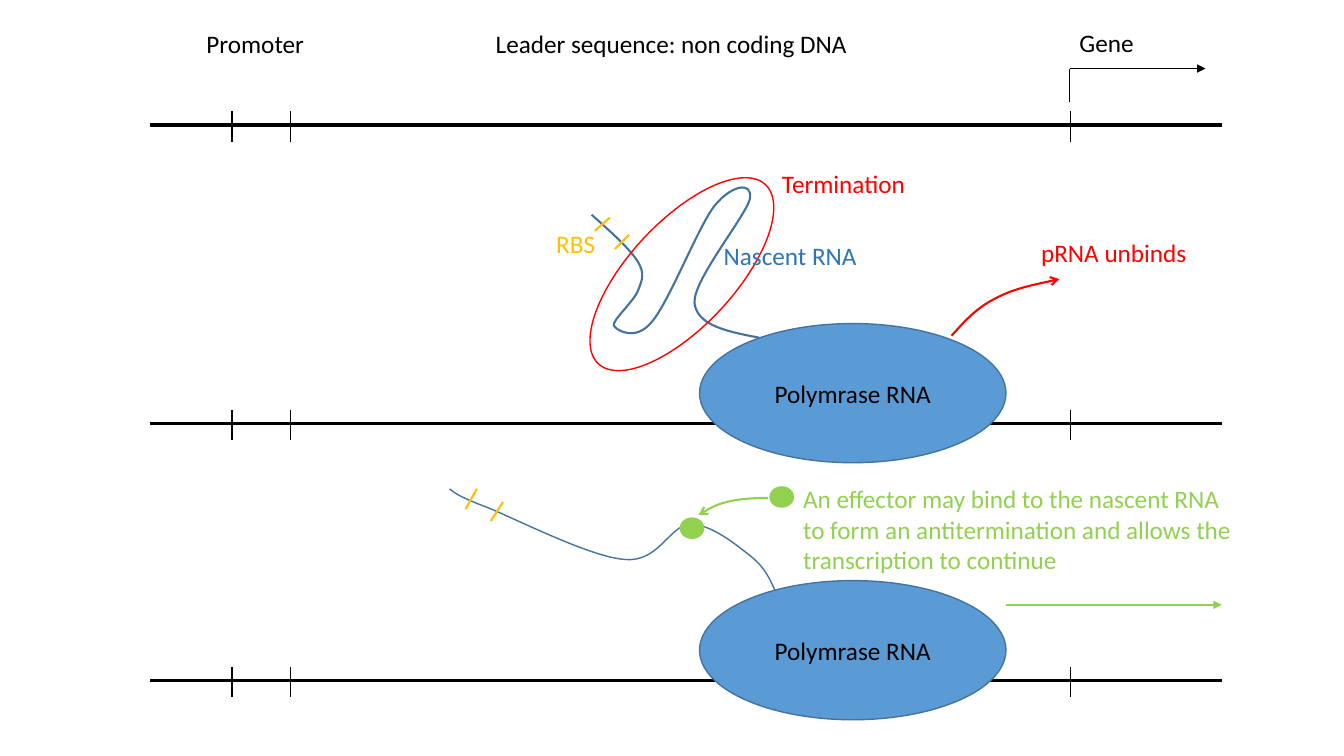
from collections import namedtuple
from dataclasses import dataclass

from lxml.etree import SubElement
from pptx import Presentation
from pptx.dml.color import RGBColor as RGB
from pptx.enum.shapes import MSO_CONNECTOR as CONN, MSO_SHAPE as SHAPE
from pptx.enum.text import MSO_ANCHOR as ANCHOR, MSO_AUTO_SIZE as AUTO, PP_ALIGN as ALIGN
from pptx.oxml.ns import qn
from pptx.util import Pt


@dataclass(frozen=True)
class Theme:
    font: str = "Calibri"
    size: int = 18
    black: str = "000000"
    blue: str = "5B9BD5"
    outline: str = "43739E"
    rna_label: str = "2E75B6"
    red: str = "FF0000"
    green: str = "92D050"
    gold: str = "FFC000"


T = Theme()
Box = namedtuple("Box", "x y w h")  # the DNA strand runs along the bottom edge

prs = Presentation()
prs.slide_width, prs.slide_height = Pt(960), Pt(540)
s = prs.slides.add_slide(prs.slide_layouts[6])


def write(tf, text, color=T.black, align=ALIGN.LEFT, wrap=True):
    tf.word_wrap = wrap
    p = tf.paragraphs[0]
    p.alignment = align
    r = p.add_run()
    r.text = text
    r.font.name, r.font.size = T.font, Pt(T.size)
    r.font.color.rgb = RGB.from_string(color)


def label(box, x, y, w, text, h=29, **fmt):
    tf = s.shapes.add_textbox(Pt(box.x + x), Pt(box.y + y), Pt(w), Pt(h)).text_frame
    write(tf, text, **fmt)
    tf.auto_size = AUTO.SHAPE_TO_FIT_TEXT


def stroke(sp, color, width, head=None):
    sp.line.color.rgb = RGB.from_string(color)
    sp.line.width = Pt(width)
    if head:
        ln = sp._element.spPr.find(qn("a:ln"))
        SubElement(ln, qn("a:tailEnd"), type=head)


def line(box, x1, y1, x2, y2, color=T.black, width=1, head=None):
    sp = s.shapes.add_connector(CONN.STRAIGHT, Pt(box.x + x1), Pt(box.y + y1),
                                Pt(box.x + x2), Pt(box.y + y2))
    stroke(sp, color, width, head)
    SubElement(sp._element.spPr, qn("a:effectLst"))


def ellipse(box, x, y, w, h, color, fill=None, rotation=0):
    sp = s.shapes.add_shape(SHAPE.OVAL, Pt(box.x + x), Pt(box.y + y), Pt(w), Pt(h))
    sp.shadow.inherit = False
    sp.rotation = rotation
    if fill:
        sp.fill.solid()
        sp.fill.fore_color.rgb = RGB.from_string(fill)
    else:
        sp.fill.background()
    stroke(sp, color, 1)
    return sp


def curve(box, points, color, width, head=None):
    """Draw a start point followed by cubic Bezier triples."""
    pts = [(Pt(box.x + x), Pt(box.y + y)) for x, y in points]
    builder = s.shapes.build_freeform(*pts[0])
    builder.add_line_segments(pts[1:], close=False)
    sp = builder.convert_to_shape()
    sp.shadow.inherit = False
    sp.fill.background()
    stroke(sp, color, width, head)
    # Turn every three straight segments into one Bezier segment
    outline = sp._element.find(".//" + qn("a:path"))
    segments = outline.findall(qn("a:lnTo"))
    for i in range(0, len(segments), 3):
        bezier = SubElement(outline, qn("a:cubicBezTo"))
        for seg in segments[i:i + 3]:
            bezier.append(seg[0])
            outline.remove(seg)


def strand(box):
    line(box, 0, box.h, box.w, box.h, width=2.25)
    for x in (58.3, 100.3, 657.4):
        line(box, x, box.h - 9.7, x, box.h + 11.8)


def polymerase(box):
    sp = ellipse(box, 392.4, box.h - 71.3, 218.9, 99.4, T.outline, T.blue)
    sp.text_frame.vertical_anchor = ANCHOR.MIDDLE
    write(sp.text_frame, "Polymrase RNA", align=ALIGN.CENTER)


def binding_site(box, marks):
    for mark in marks:
        line(box, *mark, color=T.gold, width=1.5)


def gene_map(box):
    strand(box)
    # Transcription start
    line(box, 656.7, 56.7, 656.7, 33, width=0.5)
    line(box, 656.7, 33, 753.8, 33, width=0.5, head="triangle")
    for x, y, w, text in ((656.7, 0, 96.5, "Gene"), (33.1, 0.6, 85, "Promoter"),
                          (239.7, 0.6, 286.6, "Leader sequence: non coding DNA")):
        label(box, x, y, w, text)


def termination(box):
    strand(box)
    polymerase(box)
    # Folded nascent RNA with its binding site
    curve(box, [(434.9, 125.2),
                (412.5, 120.9), (390.2, 116.6), (388.8, 100),
                (388.1, 83.4), (426.2, 37.4), (428.4, 25.8),
                (430.5, 13.6), (415.4, 15.8), (403.2, 30.9),
                (391.7, 45.3), (370.8, 99.3), (358.5, 113.7),
                (347, 128.1), (333.3, 120.2), (331.2, 116.6),
                (329.7, 113), (345.6, 99.3), (348.5, 91.4),
                (351.3, 84.2), (353.5, 79.8), (348.5, 71.2),
                (342.7, 61.8), (329, 49.6), (315.3, 37.4)], T.outline, 1.5)
    binding_site(box, [(342, 51.8, 331.9, 61.8), (328.3, 39.5, 317.5, 48.9)])
    # Terminator loop
    ellipse(box, 292.3, 42.4, 175, 74.9, T.red, rotation=313)
    label(box, 444.2, 0.6, 103.7, "Termination", color=T.red, wrap=False)
    label(box, 402.5, 51.8, 110.9, "Nascent RNA", color=T.rna_label, wrap=False)
    label(box, 282.9, 43.8, 42.5, "RBS", color=T.gold, wrap=False)
    # Polymerase leaves
    curve(box, [(572.4, 123.8),
                (581, 114.4), (589.7, 104.3), (602.6, 97.8),
                (615.6, 90.6), (632.9, 87), (649.4, 83.4)], T.red, 1.5, "arrow")
    label(box, 629.3, 49.6, 168.5, "pRNA unbinds", color=T.red)


def antitermination(box):
    strand(box)
    polymerase(box)
    # Unfolded nascent RNA with its binding site
    curve(box, [(446.4, 81.9),
                (442.8, 74), (439.2, 65.4), (429.1, 57.4),
                (419, 49.5), (401, 34.4), (385.9, 34.4),
                (370.8, 35.1), (363.6, 61.8), (339.1, 59.6),
                (315.3, 58.2), (262.8, 31.5), (241.9, 22.9),
                (221, 15), (217.4, 12.1), (213.8, 9.2)], T.outline, 1)
    binding_site(box, [(233.3, 9.2, 225.3, 23.6), (252, 18.6, 243.3, 32.2)])
    # Effector, bound and free
    for x, y in ((378.7, 30.1), (442.8, 7.8)):
        ellipse(box, x, y, 16.6, 14.4, T.green, T.green)
    curve(box, [(441.3, 15.7),
                (430.5, 15.7), (420.5, 16.4), (411.8, 18.6),
                (403.9, 20.7), (397.4, 24.3), (391.7, 27.9)], T.green, 1.5, "arrow")
    label(box, 459.3, 2, 321.1, "An effector may bind to the nascent RNA to form an "
          "antitermination and allows the transcription to continue", h=72.7, color=T.green)
    # Transcription continues
    line(box, 611.3, 92, box.w, 92, T.green, 1.5, "triangle")


LEFT, WIDTH = 107.3, 765.4
gene_map(Box(LEFT, 16, WIDTH, 73.3))
termination(Box(LEFT, 116, WIDTH, 186.4))
antitermination(Box(LEFT, 340, WIDTH, 146))

prs.save("out.pptx")
